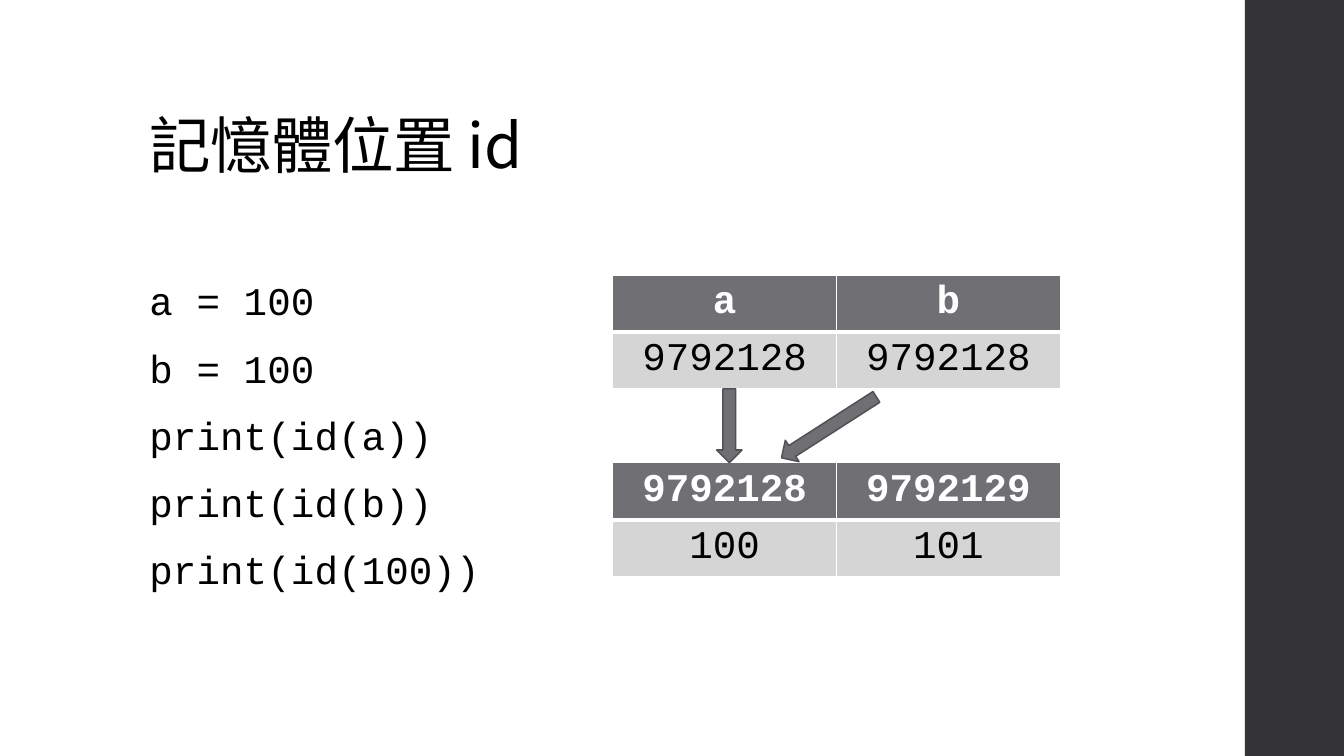
from lxml.etree import SubElement
from pptx import Presentation
from pptx.dml.color import RGBColor
from pptx.enum.shapes import MSO_SHAPE
from pptx.enum.text import MSO_ANCHOR, MSO_AUTO_SIZE, PP_ALIGN
from pptx.oxml.ns import qn
from pptx.util import Cm, Pt

BLACK = RGBColor(0x00, 0x00, 0x00)
WHITE = RGBColor(0xFF, 0xFF, 0xFF)
SIDEBAR = RGBColor(0x35, 0x35, 0x37)
GRAY = RGBColor(0x6F, 0x6F, 0x74)
PALE = RGBColor(0xD5, 0xD5, 0xD6)
OUTLINE = RGBColor(0x52, 0x52, 0x56)
TITLE_FONT = "Noto Sans CJK JP"
CODE_FONT = "Courier New"

CODE = ["a = 100", "b = 100", "print(id(a))", "print(id(b))", "print(id(100))"]
NAMES = [["a", "b"], ["9792128", "9792128"]]
MEMORY = [["9792128", "9792129"], ["100", "101"]]


def place(shape, box):
    """Move a shape to a box of left, top, width and height in centimetres."""
    shape.left, shape.top, shape.width, shape.height = map(Cm, box)


def style(para, font, size, color, bold=False, spacing=0):
    """Format every run of a paragraph, with spacing in hundredths of a point."""
    for span in para.runs:
        span.font.name = font
        span.font.size = Pt(size)
        span.font.bold = bold
        span.font.color.rgb = color
        properties = span.font._element
        SubElement(properties, qn("a:ea")).set("typeface", font)
        if spacing:
            properties.set("spc", str(spacing))


def add_sidebar(page, box):
    """Draw the dark band at the right edge."""
    band = page.shapes.add_shape(MSO_SHAPE.RECTANGLE, *map(Cm, box))
    band.shadow.inherit = False
    band.fill.solid()
    band.fill.fore_color.rgb = SIDEBAR
    band.line.fill.background()


def fill_title(page, box, text):
    """Write the title at the foot of its box."""
    title = page.shapes.title
    place(title, box)
    frame = title.text_frame
    frame.text = text
    frame.auto_size = MSO_AUTO_SIZE.NONE
    frame.vertical_anchor = MSO_ANCHOR.BOTTOM
    para = frame.paragraphs[0]
    para.alignment = PP_ALIGN.LEFT
    para.line_spacing = 0.9
    style(para, TITLE_FONT, 44, BLACK, spacing=-50)


def fill_code(page, box, lines):
    """Write the code lines in the body placeholder without bullets."""
    body = page.placeholders[1]
    place(body, box)
    frame = body.text_frame
    frame.text = "\n".join(lines)
    frame.auto_size = MSO_AUTO_SIZE.NONE
    frame.vertical_anchor = MSO_ANCHOR.TOP
    frame.margin_top = Cm(1.98)
    for index, para in enumerate(frame.paragraphs):
        para.line_spacing = 0.95
        para.space_before = Pt(14 if index else 0)
        para.space_after = Pt(2)
        properties = para._p.get_or_add_pPr()
        properties.set("marL", "0")
        properties.set("indent", "0")
        SubElement(properties, qn("a:buNone"))
        style(para, CODE_FONT, 28, BLACK, spacing=10)


def set_borders(cell, widths):
    """Give a cell white borders; widths maps each side to points."""
    properties = cell._tc.get_or_add_tcPr()
    for side, width in widths.items():
        line = SubElement(properties, qn(f"a:ln{side}"), w=str(Pt(width)))
        fill = SubElement(line, qn("a:solidFill"))
        SubElement(fill, qn("a:srgbClr"), val=str(WHITE))


def add_grid(page, box, rows):
    """Add a table with a dark header row over a pale row."""
    frame = page.shapes.add_table(len(rows), len(rows[0]), *map(Cm, box))
    table = frame.table
    table.horz_banding = False
    for row_index, row in enumerate(rows):
        header = row_index == 0
        for column_index, text in enumerate(row):
            cell = table.cell(row_index, column_index)
            set_borders(cell, {"L": 1, "R": 1, "T": 1 if header else 3, "B": 3 if header else 1})
            cell.fill.solid()
            cell.fill.fore_color.rgb = GRAY if header else PALE
            cell.vertical_anchor = MSO_ANCHOR.MIDDLE
            cell.text = text
            para = cell.text_frame.paragraphs[0]
            para.alignment = PP_ALIGN.CENTER
            style(para, CODE_FONT, 28, WHITE if header else BLACK, bold=header)


def add_arrow(page, box, rotation=0):
    """Add a block arrow that points down before its rotation."""
    arrow = page.shapes.add_shape(MSO_SHAPE.DOWN_ARROW, *map(Cm, box))
    arrow.shadow.inherit = False
    arrow.rotation = rotation
    arrow.fill.solid()
    arrow.fill.fore_color.rgb = GRAY
    arrow.line.color.rgb = OUTLINE
    arrow.line.width = Pt(1.1)


def add_diagram(page, box):
    """Show both names pointing at one memory cell."""
    left, top, width, height = box
    table_height = 2.87
    add_grid(page, (left, top, width, table_height), NAMES)
    add_grid(page, (left, top + height - table_height, width, table_height), MEMORY)
    gap_top = top + table_height
    add_arrow(page, (left + 2.62, gap_top, 0.64, height - 2 * table_height))
    add_arrow(page, (left + 5.13, gap_top - 0.45, 0.64, 2.84), 57.3)


def main():
    """Build the slide and save the deck."""
    deck = Presentation()
    deck.slide_width, deck.slide_height = Cm(33.87), Cm(19.05)
    page = deck.slides.add_slide(deck.slide_layouts[1])
    add_sidebar(page, (31.37, 0, 2.5, 19.05))
    fill_title(page, (3.51, 1.02, 26.92, 3.68), "記憶體位置 id")
    fill_code(page, (3.51, 5.08, 23.88, 12.09), CODE)
    add_diagram(page, (15.44, 6.93, 11.28, 7.6))
    deck.save("out.pptx")


if __name__ == "__main__":
    main()
